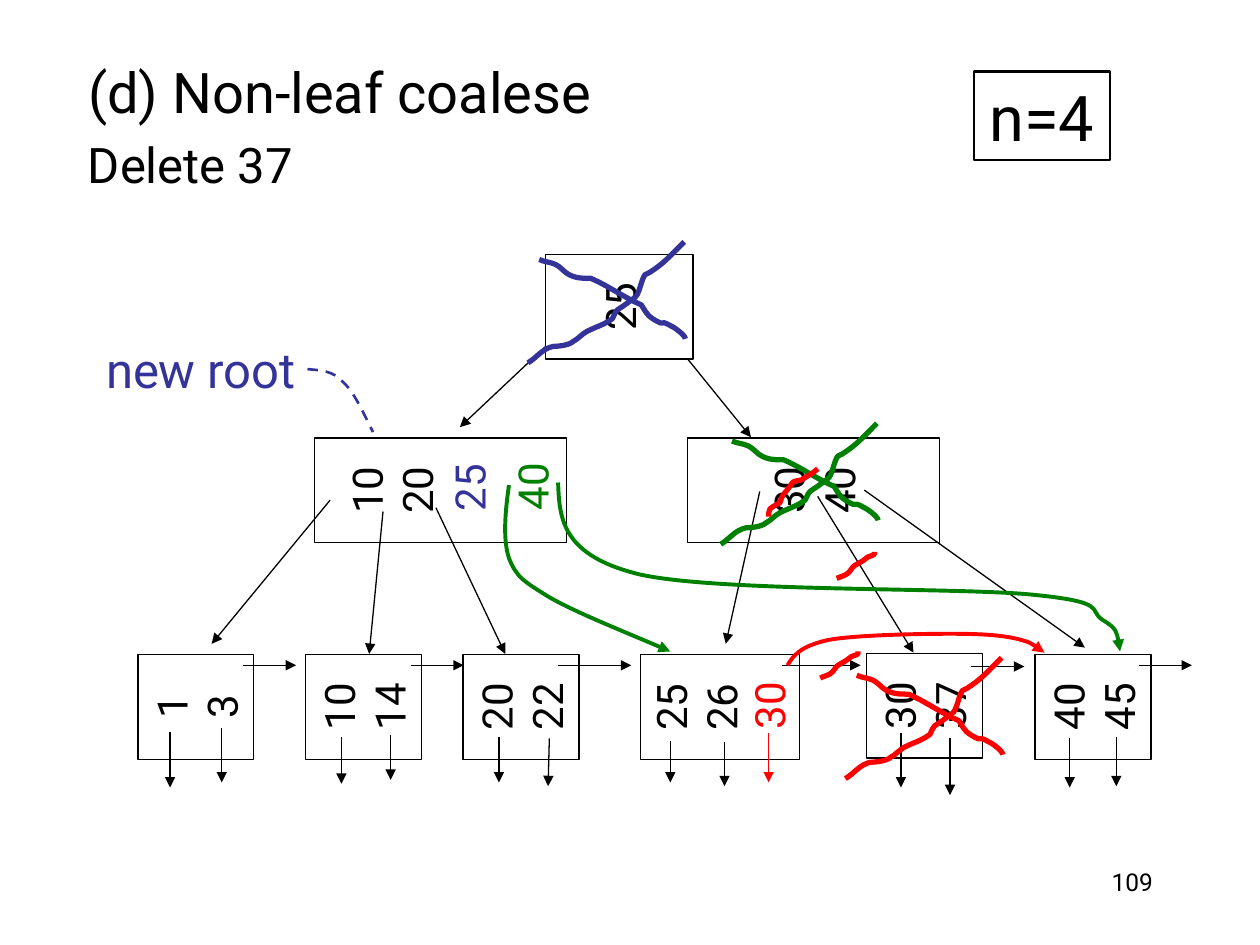
"""Draw a B+ tree slide on which deleting a key coalesces non-leaf nodes."""
from lxml.etree import SubElement
from pptx import Presentation
from pptx.dml.color import RGBColor
from pptx.enum.dml import MSO_LINE
from pptx.enum.shapes import MSO_CONNECTOR, MSO_SHAPE
from pptx.enum.text import MSO_ANCHOR, MSO_AUTO_SIZE, PP_ALIGN
from pptx.oxml.ns import qn
from pptx.util import Inches, Pt

BLACK = RGBColor(0x00, 0x00, 0x00)
WHITE = RGBColor(0xFF, 0xFF, 0xFF)
GREEN = RGBColor(0x00, 0x80, 0x00)
RED = RGBColor(0xFF, 0x00, 0x00)
BLUE = RGBColor(0x33, 0x33, 0x99)

LEAF_ROW, INNER_ROW, LINK_ROW = 56.1, 38.9, 52.8
KEY_PITCH = 3.9

CROSS_RISE = [
    (0, 9.6), (0.7, 9.2), (1.1, 8.5), (2, 8.3), (2.4, 8.3), (3.3, 8.2), (3.6, 7.9),
    (4, 7.7), (4.3, 7.3), (4.7, 7.1), (5.5, 6.7), (6, 6.6), (6.7, 6.1),
    (7.2, 5.1), (6.8, 5.7), (8.1, 4.7), (8.3, 4.6), (8.6, 4.3), (8.6, 4.3),
    (8.9, 3.9), (9, 3), (9.3, 2.6), (9.5, 2.5), (9.8, 2.4), (10, 2.2),
    (10.9, 1.6), (11.6, 0.8), (12.4, 0)]
CROSS_FALL = [
    (0.9, 1.4), (1.3, 1.6), (1.8, 1.6), (2.2, 1.8), (2.6, 2), (2.8, 2.3), (3.1, 2.5),
    (3.7, 2.9), (4.3, 2.9), (5, 2.9), (6.4, 3.5), (7.6, 4.4), (9, 5),
    (9.2, 5.3), (9.5, 5.9), (9.9, 6.1), (11.2, 6.9), (10.2, 6), (11.4, 6.7),
    (11.5, 6.7), (12.5, 7.4), (12.5, 7.7)]
TICK = [
    (0, 2.1), (0.5, 1.9), (0.7, 1.9), (1, 1.6), (1.1, 1.5), (1.2, 1.3), (1.3, 1.2),
    (1.5, 1), (1.8, 0.9), (2.1, 0.7), (2.3, 0.6), (2.4, 0.4), (2.5, 0.4),
    (2.7, 0.3), (2.9, 0.3), (3, 0.2), (3, 0.2), (3, 0.1), (3, 0)]
KEY_TICK = [
    (0, 3.8), (0, 3.6), (0, 3.4), (0.1, 3.2), (0.3, 3), (0.9, 2.7), (0.9, 2.7),
    (1.2, 1.8), (1, 2.4), (1.9, 1.1), (2.1, 0.9), (2.4, 1), (2.6, 0.9),
    (3, 0.6), (3.5, 0.4), (3.9, 0)]


class TreeSlide:
    """Holds the slide and its style; lengths are cells of a 100 by 75 grid."""

    font = "Roboto"
    thin, thick, curve_width = 0.75, 3, 2.25

    def __init__(self, deck):
        self.cell = deck.slide_width / 100
        self.slide = deck.slides.add_slide(deck.slide_layouts[5])
        self.shapes = self.slide.shapes

    def cells(self, *counts):
        return [round(count * self.cell) for count in counts]

    def set_text(self, frame, text, size, color=BLACK, align=PP_ALIGN.CENTER,
                 anchor=MSO_ANCHOR.MIDDLE, wrap=False):
        frame.text = text
        frame.word_wrap = wrap
        frame.auto_size = MSO_AUTO_SIZE.NONE
        frame.vertical_anchor = anchor
        for paragraph in frame.paragraphs:
            paragraph.alignment = align
            for run in paragraph.runs:
                run.font.name = self.font
                run.font.size = Pt(size)
                run.font.color.rgb = color

    def stroke(self, shape, color, width, arrow=False, dash=None):
        shape.line.color.rgb = color
        shape.line.width = Pt(width)
        if dash:
            shape.line.dash_style = dash
        if arrow:
            SubElement(shape._element.spPr.find(qn("a:ln")), qn("a:tailEnd"), type="triangle")

    def title(self, text, left, top, width, height):
        heading = self.shapes.title
        heading.left, heading.top, heading.width, heading.height = self.cells(
            left, top, width, height)
        self.set_text(heading.text_frame, text, 32, align=PP_ALIGN.LEFT,
                      anchor=MSO_ANCHOR.TOP, wrap=True)

    def bullet(self, text, left, top, width, height):
        frame = self.shapes.add_textbox(*self.cells(left, top, width, height)).text_frame
        props = frame.paragraphs[0]._p.get_or_add_pPr()
        props.set("marL", str(Inches(0.81)))
        props.set("indent", str(Inches(-0.31)))
        SubElement(props, qn("a:buChar"), char="–")
        self.set_text(frame, text, 28, align=PP_ALIGN.LEFT, anchor=MSO_ANCHOR.TOP, wrap=True)

    def page_number(self, text, left, top, width, height):
        frame = self.shapes.add_textbox(*self.cells(left, top, width, height)).text_frame
        self.set_text(frame, text, 14, align=PP_ALIGN.RIGHT, anchor=MSO_ANCHOR.TOP, wrap=True)

    def label(self, text, x, y, width, height, size, color, rotation=0):
        box = self.shapes.add_textbox(
            *self.cells(x - width / 2, y - height / 2, width, height))
        box.rotation = rotation
        self.set_text(box.text_frame, text, size, color)

    def key(self, text, x, y, color):
        self.label(text, x, y, 5.8, 5, 24, color, rotation=270)

    def box(self, text, x, y, width, height, size, line_width, fill=None):
        frame = self.shapes.add_shape(
            MSO_SHAPE.RECTANGLE, *self.cells(x - width / 2, y - height / 2, width, height))
        frame.shadow.inherit = False
        if fill is None:
            frame.fill.background()
        else:
            frame.fill.solid()
            frame.fill.fore_color.rgb = fill
        self.stroke(frame, BLACK, line_width)
        self.set_text(frame.text_frame, text, size)
        return frame

    def node(self, keys, x, y, span, free_slots=0):
        node = self.box("\n".join(keys), x, y, 8.3, span, 24, self.thin, WHITE)
        node.rotation = 270
        node.text_frame.margin_bottom = self.cells(0.5 + free_slots * KEY_PITCH)[0]

    def arrow(self, x1, y1, x2, y2, color=BLACK):
        pointer = self.shapes.add_connector(MSO_CONNECTOR.STRAIGHT, *self.cells(x1, y1, x2, y2))
        self.stroke(pointer, color, self.thin, arrow=True)
        SubElement(pointer._element.spPr, qn("a:effectLst"))

    def curve(self, points, color, width=curve_width, x=0, y=0, arrow=False, dash=None):
        start, *rest = [self.cells(x + dx, y + dy) for dx, dy in points]
        builder = self.shapes.build_freeform(*start)
        builder.add_line_segments(rest, close=False)
        curve = builder.convert_to_shape()
        outline = next(curve._element.iter(qn("a:path")))
        segments = outline.findall(qn("a:lnTo"))
        for first in range(0, len(segments), 3):
            bezier = SubElement(outline, qn("a:cubicBezTo"))
            for segment in segments[first:first + 3]:
                bezier.append(segment[0])
                outline.remove(segment)
        curve.shadow.inherit = False
        curve.fill.background()
        self.stroke(curve, color, width, arrow, dash)

    def cross(self, x, y, color):
        for points in (CROSS_RISE, CROSS_FALL):
            self.curve(points, color, self.thick, x, y)


def main():
    deck = Presentation()
    deck.slide_width, deck.slide_height = Inches(10), Inches(7.5)
    tree = TreeSlide(deck)
    tree.title("(d) Non-leaf coalese", 6, 4.1, 51, 6.1)
    tree.bullet("Delete 37", 6, 10.2, 51, 6)
    tree.page_number("109", 71.7, 68.3, 20.8, 5)
    tree.box("n=4", 82.7, 9.2, 10.8, 7, 36, 1.5)

    for keys, x in ((("1", "3"), 15.55), (("10", "14"), 28.85),
                    (("20", "22"), 41.35), (("40", "45"), 86.75)):
        tree.node(keys, x, LEAF_ROW, 9.2)
    tree.node(("30", "37"), 73.35, LEAF_ROW - 0.1, 9.2)
    tree.node(("25", "26"), 57.15, LEAF_ROW, 12.6, free_slots=1)
    tree.node(("10", "20"), 34.95, INNER_ROW, 20, free_slots=2)
    tree.node(("30", "40"), 64.55, INNER_ROW, 20)

    for ends in ((46.8, 24.2, 36.5, 33.9), (51.1, 24.2, 59.6, 34.7),
                 (26.2, 39.7, 16.8, 51.1), (30.4, 40.6, 29.3, 51.9),
                 (34.6, 40.3, 40.1, 51.9), (60.3, 39, 57.6, 51.1),
                 (64.9, 39.4, 72.5, 51.8), (68.6, 38.9, 86.1, 51.4),
                 (43.6, 58.6, 43.5, 62.4), (77.1, 52.9, 81.3, 52.9)):
        tree.arrow(*ends)
    for start, end in ((19.3, 23.5), (32.6, 36.8), (44.3, 50.1), (62.1, 68.3), (90.4, 94.6)):
        tree.arrow(start, LINK_ROW, end, LINK_ROW)
    for x, top, bottom in ((13.5, 58.1, 62.5), (17.6, 57.8, 62.1), (27.1, 58.5, 62.2),
                           (31, 58.3, 61.9), (39.6, 58.5, 62.1), (53.2, 58.8, 62.1),
                           (57.5, 58.9, 62.4), (71.5, 58.2, 62.5), (75.4, 58.6, 63.1),
                           (84.9, 58.6, 62.5), (88.6, 58.5, 62.4)):
        tree.arrow(x, top, x, bottom)

    tree.cross(57.2, 33.6, GREEN)
    tree.key("40", 42.2, 38.6, GREEN)
    tree.curve([(40.4, 38.5), (40.1, 40.6), (39.9, 42.8), (40.4, 44.3),
                (41, 45.8), (41.5, 46.1), (43.6, 47.4),
                (45.7, 48.6), (49.5, 50.1), (53.2, 51.7)], GREEN, arrow=True)
    tree.curve([(44.3, 38.3), (44.4, 41.2), (44.6, 44.1), (50.8, 45.6),
                (57.1, 47), (75.8, 46.6), (81.9, 47.2), (88.1, 47.8), (86.3, 48.4),
                (87.5, 49.2), (88.7, 49.9), (88.8, 50.8), (88.9, 51.7)], GREEN, arrow=True)

    tree.key("30", 61, 56, RED)
    tree.cross(67.1, 52.2, RED)
    tree.arrow(61, 58.2, 61, 62.1, RED)
    tree.curve([(62.5, 52.8), (63, 52), (63.5, 51.3), (65.7, 50.8),
                (67.8, 50.4), (72.9, 50.3), (75.4, 50.3), (77.9, 50.3), (79.4, 50.4),
                (80.7, 50.7), (81.9, 51), (82.7, 51.6), (82.9, 51.8)], RED, arrow=True)
    for points, x, y in ((TICK, 65.1, 51.7), (TICK, 66.4, 43.8), (KEY_TICK, 61, 37.2)):
        tree.curve(points, RED, tree.thick, x, y)

    tree.node(("25",), 49.15, 24.35, 11.7)
    tree.cross(41.9, 19.2, BLUE)
    tree.key("25", 37.2, 38.7, BLUE)
    tree.label("new root", 15.95, 29.25, 18.3, 5.7, 28, BLUE)
    tree.curve([(24.4, 29.3), (25.4, 29.4), (26.4, 29.4), (27.2, 30.3),
                (28.1, 31.1), (28.8, 32.7), (29.6, 34.3)], BLUE, 1.5, dash=MSO_LINE.DASH)
    deck.save("out.pptx")


if __name__ == "__main__":
    main()
